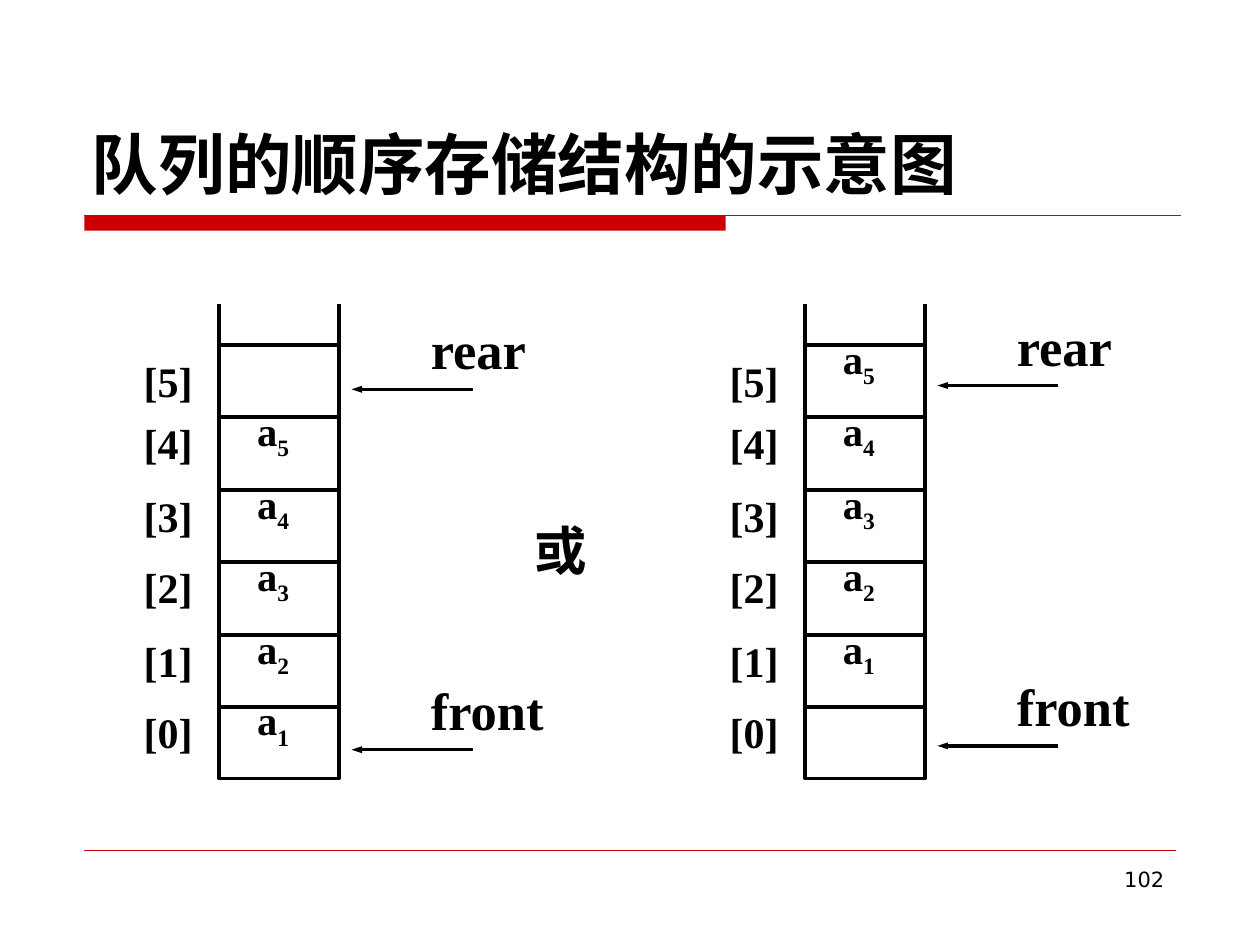
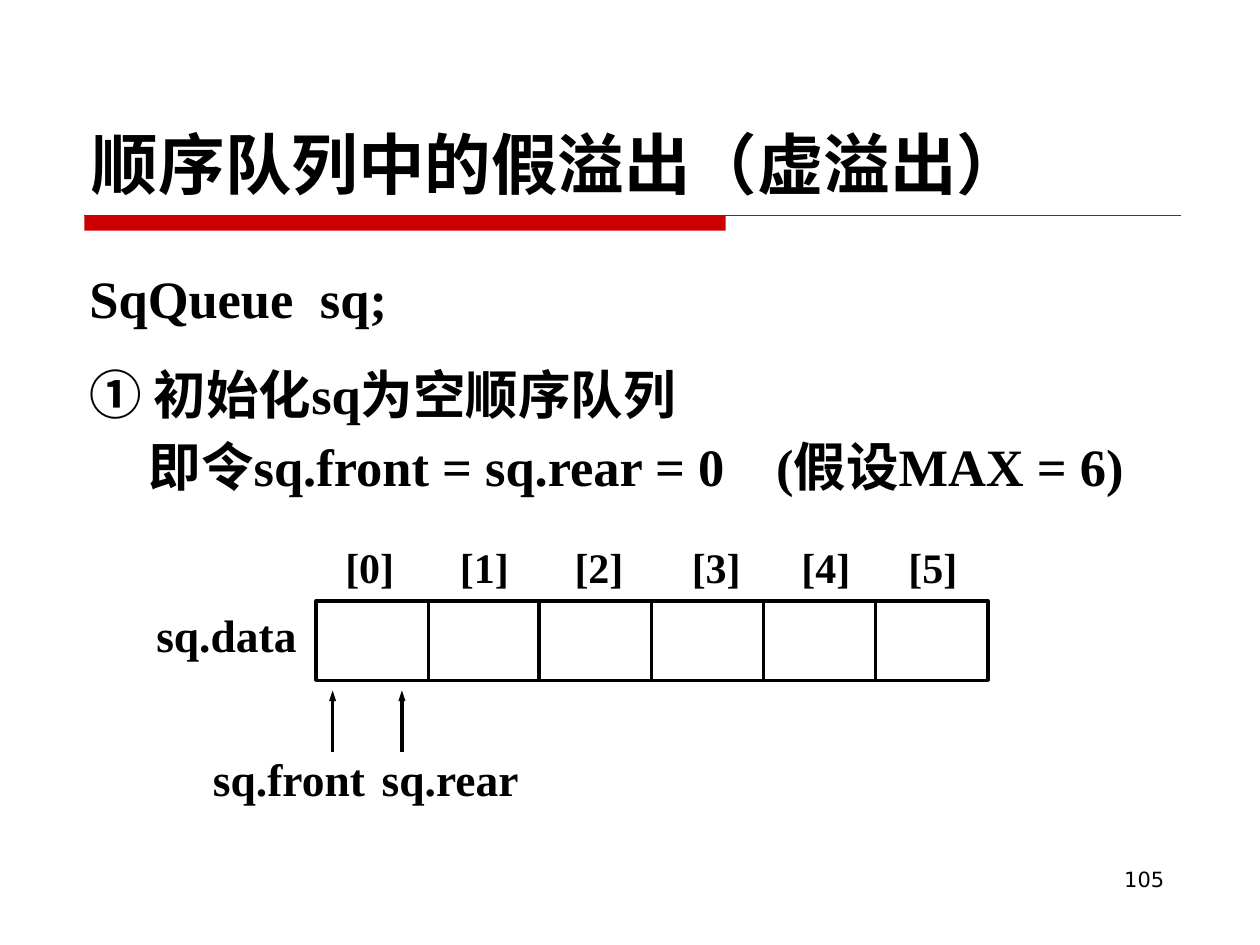
from dataclasses import dataclass

from lxml.etree import SubElement
from pptx import Presentation
from pptx.dml.color import RGBColor as RGB
from pptx.enum.shapes import MSO_CONNECTOR as CONN, MSO_SHAPE as SHAPE
from pptx.enum.text import MSO_ANCHOR as ANCHOR, PP_ALIGN as ALIGN
from pptx.oxml.ns import qn
from pptx.util import Pt

PX = 9144  # EMU per px, 100 px to the inch


@dataclass(frozen=True)
class Theme:
    ink: RGB = RGB(0, 0, 0)
    paper: RGB = RGB(255, 255, 255)
    accent: RGB = RGB(0xCC, 0, 0)
    sans: str = "DejaVu Sans"
    serif: str = "Times New Roman"
    title: float = 38
    body: float = 30
    name: float = 26
    index: float = 24
    item: float = 23.2
    number: float = 12
    rule: float = 0.75
    hairline: float = 0.25
    stroke: float = 2


T = Theme()


def px(*values):
    return [int(v * PX) for v in values]


def apply(obj, values):
    for key, value in values.items():
        setattr(obj, key, value)


# Text
def add_tabs(p, stops):
    tabs = SubElement(p._p.get_or_add_pPr(), qn("a:tabLst"))
    for stop in stops:
        SubElement(tabs, qn("a:tab"), pos=str(stop * PX), algn="l")


def add_run(p, text, size, font=T.serif, bold=True):
    r = p.add_run()
    r.text = text
    apply(r.font, dict(size=Pt(size), name=font, bold=bold))
    r.font.color.rgb = T.ink
    return r


def add_box(s, x, y, w, h, **frame):
    """Add an empty text box without insets and return its text frame."""
    tf = s.shapes.add_textbox(*px(x, y, w, h)).text_frame
    apply(tf, dict(margin_left=0, margin_top=0, margin_right=0,
                   margin_bottom=0, word_wrap=True) | frame)
    return tf


def add_label(s, text, x, y, w, h, size, font=T.serif, bold=True,
              align=ALIGN.LEFT, anchor=ANCHOR.TOP):
    p = add_box(s, x, y, w, h, vertical_anchor=anchor).paragraphs[0]
    p.alignment = align
    add_run(p, text, size, font, bold)


def add_item(s, number, x, y):
    """Write an element a with its number as a subscript."""
    p = add_box(s, x, y, 63, 46).paragraphs[0]
    p.line_spacing = 0.8
    add_run(p, "a", T.item)
    sub = add_run(p, str(number), T.item)
    sub._r.get_or_add_rPr().set("baseline", "-25000")


# Lines and cells
def add_line(s, x1, y1, x2, y2, color=T.ink, width=T.stroke, arrow=False):
    line = s.shapes.add_connector(CONN.STRAIGHT, *px(x1, y1, x2, y2))
    line.line.color.rgb = color
    line.line.width = Pt(width)
    if arrow:
        SubElement(line.line._get_or_add_ln(), qn("a:tailEnd"),
                   type="triangle", w="sm", len="med")
    SubElement(line._element.spPr, qn("a:effectLst"))


def add_rect(s, x, y, w, h, fill, outlined=True):
    sp = s.shapes.add_shape(SHAPE.RECTANGLE, *px(x, y, w, h))
    sp.shadow.inherit = False
    sp.fill.solid()
    sp.fill.fore_color.rgb = fill
    if outlined:
        sp.line.color.rgb = T.ink
        sp.line.width = Pt(T.stroke)
    else:
        sp.line.fill.background()


def edges(start, pitch, count):
    return [round(start + pitch * i) for i in range(count + 1)]


# Parts shared by the slides
def add_page(prs, title, number):
    s = prs.slides.add_slide(prs.slide_layouts[6])
    add_rect(s, 67, 171, 509, 12, T.accent, outlined=False)
    add_line(s, 67, 171, 937, 171, T.accent, T.rule)
    add_label(s, title, 73, 38, 855, 123, T.title, T.sans,
              anchor=ANCHOR.BOTTOM)
    add_label(s, str(number), 727, 688, 197, 42, T.number, T.sans, False,
              ALIGN.RIGHT)
    return s


# Vertical queue with its two pointers
def add_queue_column(s, left, items, pointers):
    """items runs from the top cell down; None leaves a cell empty."""
    tops = edges(274, 57.4, len(items))
    for side in (left, left + 95):
        add_line(s, side, 241, side, tops[0])
    for i, item in enumerate(items):
        top = tops[i]
        add_rect(s, left, top, 95, tops[i + 1] - top, T.paper)
        label_top = top + 8 if i == 0 else top
        add_label(s, f"[{len(items) - 1 - i}]", left - 60, label_top, 55, 46,
                  T.index)
        if item is not None:
            add_item(s, item, left + 30, top - 5)
    for name, y in pointers.items():
        add_label(s, name, left + 168, y - 57, 134, 53, T.body)
        add_line(s, left + 201, y, left + 105, y, arrow=True)


# Horizontal array with its two pointers
def add_queue_row(s):
    lefts = edges(251, 88.75, 6)
    label_lefts = (274, 365, 456, 549, 636, 721)
    for i, label_left in enumerate(label_lefts):
        add_rect(s, lefts[i], 477, lefts[i + 1] - lefts[i], 63, T.paper)
        add_label(s, f"[{i}]", label_left, 430, 55, 46, T.index)
    add_label(s, "sq.data", 124, 482, 125, 44, T.name)
    for name, x, arrow_x in (("sq.front", 169, 264), ("sq.rear", 303, 319)):
        add_label(s, name, x, 596, 134, 53, T.name)
        add_line(s, arrow_x, 597, arrow_x, 548, arrow=True)


def add_steps(s):
    tf = add_box(s, 71, 211, 883, 200)
    steps = (("SqQueue\tsq;", 0, (183,)),
             ("① 初始化sq为空顺序队列", 18.7, ()),
             ("\t即令sq.front = sq.rear = 0\t(假设MAX = 6)", 5.6, (47, 545)))
    for i, (text, before, stops) in enumerate(steps):
        p = tf.add_paragraph() if i else tf.paragraphs[0]
        p.space_before = Pt(before)
        if stops:
            add_tabs(p, stops)
        add_run(p, text, T.body)


def main():
    prs = Presentation()
    prs.slide_width, prs.slide_height = px(1000, 750)

    # Two ways to store a queue
    s = add_page(prs, "队列的顺序存储结构的示意图", 102)
    add_line(s, 67, 675, 933, 675, T.accent, T.hairline)
    add_label(s, "或", 424, 411, 59, 50, T.body, T.sans)
    add_queue_column(s, 174, (None, 5, 4, 3, 2, 1),
                     {"rear": 309, "front": 595})
    add_queue_column(s, 639, (5, 4, 3, 2, 1, None),
                     {"rear": 306, "front": 592})

    # False overflow
    s = add_page(prs, "顺序队列中的假溢出（虚溢出）", 105)
    add_steps(s)
    add_queue_row(s)

    prs.save("out.pptx")


if __name__ == "__main__":
    main()
